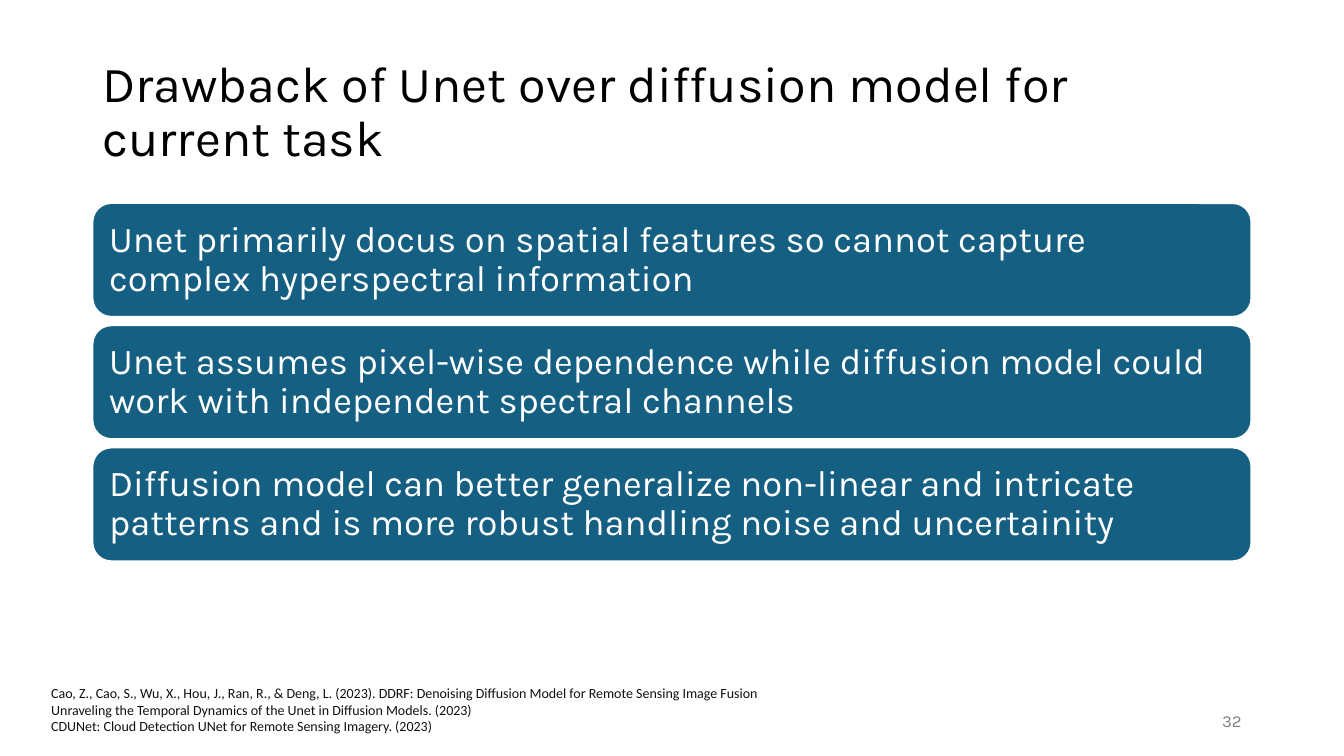
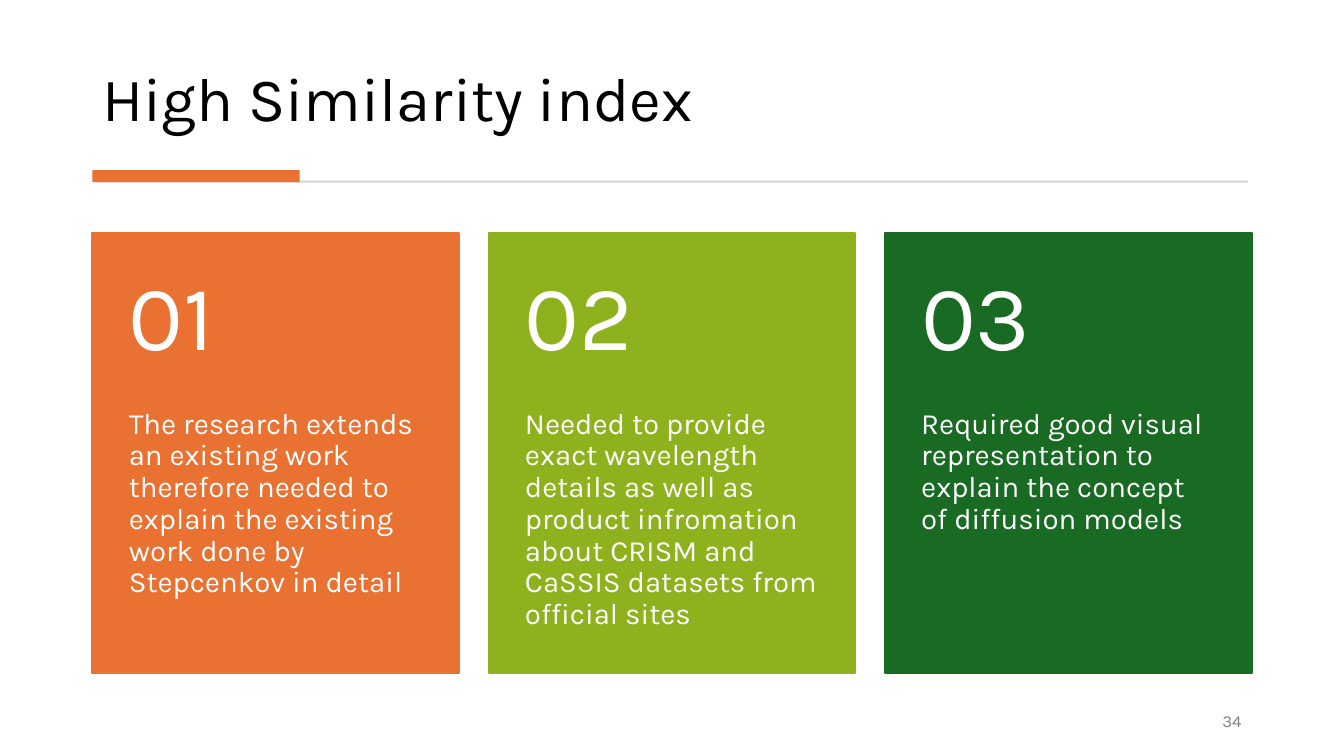
import pptx
import pptx.util
import pptx.dml.color
import pptx.enum.shapes
import pptx.enum.text

Pt = pptx.util.Pt
RGB = pptx.dml.color.RGBColor
Shape = pptx.enum.shapes.MSO_SHAPE
Anchor = pptx.enum.text.MSO_ANCHOR
Align = pptx.enum.text.PP_ALIGN

BLACK = RGB(0x00, 0x00, 0x00)
WHITE = RGB(0xFF, 0xFF, 0xFF)
INK = RGB(0x11, 0x11, 0x11)
GREY = RGB(0x80, 0x80, 0x80)
SILVER = RGB(0xD5, 0xD5, 0xD5)
BLUE = RGB(0x15, 0x60, 0x82)
ORANGE = RGB(0xE9, 0x71, 0x32)
LIME = RGB(0x8E, 0xB2, 0x1E)
GREEN = RGB(0x19, 0x6B, 0x24)

LEFT, WIDTH = 66, 828

POINTS = [
    "Unet primarily docus on spatial features so cannot capture complex hyperspectral information",
    "Unet assumes pixel-wise dependence while diffusion model could work with independent spectral channels",
    "Diffusion model can better generalize non-linear and intricate patterns and is more robust handling noise and uncertainity",
]
SOURCES = [
    "Cao, Z., Cao, S., Wu, X., Hou, J., Ran, R., & Deng, L. (2023). DDRF: Denoising Diffusion Model for Remote Sensing Image Fusion",
    "Unraveling the Temporal Dynamics of the Unet in Diffusion Models. (2023)",
    "CDUNet: Cloud Detection UNet for Remote Sensing Imagery. (2023)",
]
CARDS = [
    (ORANGE, "The research extends an existing work therefore needed to explain the existing work done by Stepcenkov in detail"),
    (LIME, "Needed to provide exact wavelength details as well as product infromation about CRISM and CaSSIS datasets from official sites"),
    (GREEN, "Required good visual representation to explain the concept of diffusion models"),
]


class Deck:
    """Hold the shared style and the current slide."""

    def __init__(self):
        self.file = pptx.Presentation()
        self.file.slide_width, self.file.slide_height = Pt(960), Pt(540)
        self.slide = None

    def start(self, number):
        self.slide = self.file.slides.add_slide(self.file.slide_layouts[6])
        self.text((678, 500, 216, 29), [str(number)], 12, GREY,
                  anchor=Anchor.MIDDLE, align=Align.RIGHT)

    def label(self, shape, lines, size, color, font="Karla", anchor=Anchor.TOP,
              align=Align.LEFT, inset=(7.2, 3.6, 7.2, 3.6), spacing=1.0):
        frame = shape.text_frame
        frame.word_wrap = True
        frame.vertical_anchor = anchor
        (frame.margin_left, frame.margin_top,
         frame.margin_right, frame.margin_bottom) = map(Pt, inset)
        frame.text = "\n".join(lines)
        for para in frame.paragraphs:
            para.alignment = align
            para.line_spacing = spacing
            para.font.name = font
            para.font.size = Pt(size)
            para.font.color.rgb = color

    def text(self, box, lines, size, color, **style):
        shape = self.slide.shapes.add_textbox(*map(Pt, box))
        self.label(shape, lines, size, color, **style)

    def block(self, box, fill, kind=Shape.RECTANGLE, line=None):
        shape = self.slide.shapes.add_shape(kind, *map(Pt, box))
        shape.shadow.inherit = False
        shape.fill.solid()
        shape.fill.fore_color.rgb = fill
        if line is None:
            shape.line.fill.background()
        else:
            shape.line.color.rgb = line
            shape.line.width = Pt(1.5)
        return shape

    def title(self, words, top, height, size, anchor):
        self.text((LEFT, top, WIDTH, height), [words], size, BLACK,
                  anchor=anchor, spacing=0.9)

    def bar(self, top, words):
        shape = self.block((LEFT, top, WIDTH, 81.4), BLUE, Shape.ROUNDED_RECTANGLE, WHITE)
        self.label(shape, [words], 26, WHITE, anchor=Anchor.MIDDLE,
                   inset=(8, 8, 8, 8), spacing=0.9)

    def card(self, left, number, fill, words):
        top, width, head = 166.3, 262, 125.6
        shape = self.block((left, top, width, 314.5), fill, line=fill)
        self.label(shape, [words], 21, WHITE, inset=(26, head, 26, 26), spacing=0.9)
        self.text((left, top, width, head), [f"{number:02}"], 66, WHITE,
                  anchor=Anchor.MIDDLE, inset=(26, 13, 26, 13), spacing=0.9)


def main():
    deck = Deck()

    deck.start(32)
    deck.title("Drawback of Unet over diffusion model for current task",
               28.8, 104.4, 36, Anchor.MIDDLE)
    for row, words in enumerate(POINTS):
        deck.bar(145 + 87.3 * row, words)
    deck.text((29.5, 485.3, 799, 44), SOURCES, 10, INK, font="Calibri")

    deck.start(34)
    deck.title("High Similarity index", 20.2, 80, 44, Anchor.BOTTOM)
    deck.block((68.4, 129, 823, 1.4), SILVER)
    deck.block((LEFT, 121.5, 148, 8.6), ORANGE)
    for index, (fill, words) in enumerate(CARDS):
        deck.card(LEFT + 283 * index, index + 1, fill, words)

    deck.file.save("out.pptx")


if __name__ == "__main__":
    main()
